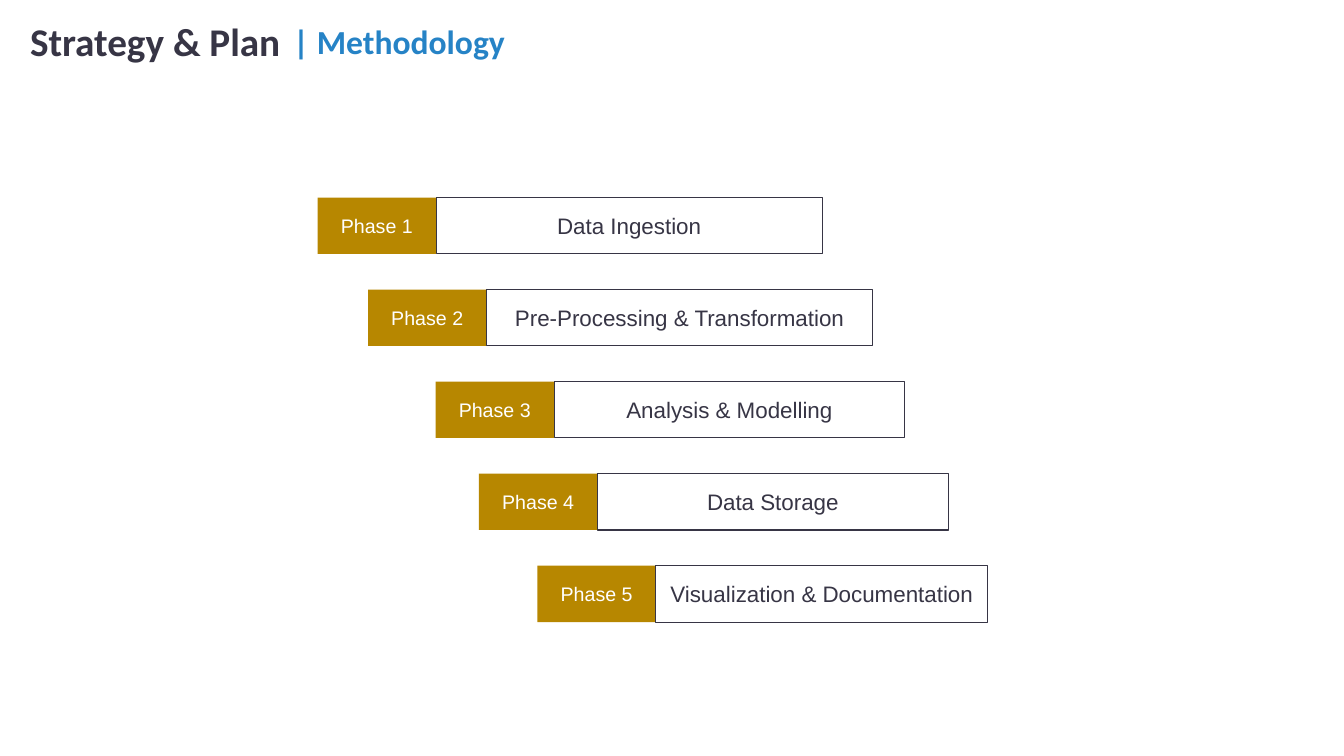
"""Build the Strategy & Plan methodology slide with five staggered phases."""
from pptx import Presentation
from pptx import util as u
from pptx.dml.color import RGBColor
from pptx.enum import shapes, text

COLORS = {"dark": "373545", "gold": "B78700", "blue": "2683C6", "white": "FFFFFF"}


def write(sp, content, size, color, font="Arial", bold=False, spacing=None,
          align=text.PP_ALIGN.CENTER, anchor=text.MSO_ANCHOR.MIDDLE):
    tf = sp.text_frame
    tf.word_wrap = True
    tf.vertical_anchor = anchor
    p = tf.paragraphs[0]
    p.alignment = align
    p.line_spacing = spacing
    r = p.add_run()
    r.text = content
    r.font.name = font
    r.font.size = u.Pt(size)
    r.font.bold = bold
    r.font.color.rgb = RGBColor.from_string(COLORS[color])


def add_box(s, left, top, width):
    sp = s.shapes.add_shape(shapes.MSO_SHAPE.RECTANGLE, u.Inches(left),
                            u.Inches(top), u.Inches(width), u.Inches(0.56))
    sp.shadow.inherit = False
    return sp


prs = Presentation()
prs.slide_width = u.Inches(13.33)
prs.slide_height = u.Inches(7.5)
s = prs.slides.add_slide(prs.slide_layouts[6])

title = s.shapes.add_textbox(u.Inches(0.2), u.Inches(0.21), u.Inches(2.78), u.Inches(0.52))
write(title, "Strategy & Plan", 28, "dark", font="Calibri", bold=True, spacing=0.8,
      align=text.PP_ALIGN.LEFT, anchor=text.MSO_ANCHOR.TOP)

phases = [
    ("Data Ingestion", 3.15, 3.83),
    ("Pre-Processing & Transformation", 3.65, 3.83),
    ("Analysis & Modelling", 4.32, 3.48),
    ("Data Storage", 4.75, 3.48),
    ("Visualization & Documentation", 5.33, 3.29),
]
first_top, row_step, tag_width = 1.96, 0.913, 1.175

for i, (name, left, width) in enumerate(phases):
    top = first_top + i * row_step
    tag = add_box(s, left, top, tag_width)
    tag.fill.solid()
    tag.fill.fore_color.rgb = RGBColor.from_string(COLORS["gold"])
    tag.line.fill.background()
    write(tag, f"Phase {i + 1}", 14, "white")

    step = add_box(s, left + tag_width, top, width)
    step.fill.background()
    step.line.color.rgb = RGBColor.from_string(COLORS["dark"])
    step.line.width = u.Pt(0.75)
    write(step, name, 16, "dark")

subtitle = s.shapes.add_textbox(u.Inches(2.81), u.Inches(0.17), u.Inches(3.32), u.Inches(0.52))
write(subtitle, "| Methodology", 24, "blue", font="Calibri", bold=True, spacing=0.9,
      align=text.PP_ALIGN.LEFT)

prs.save("out.pptx")
